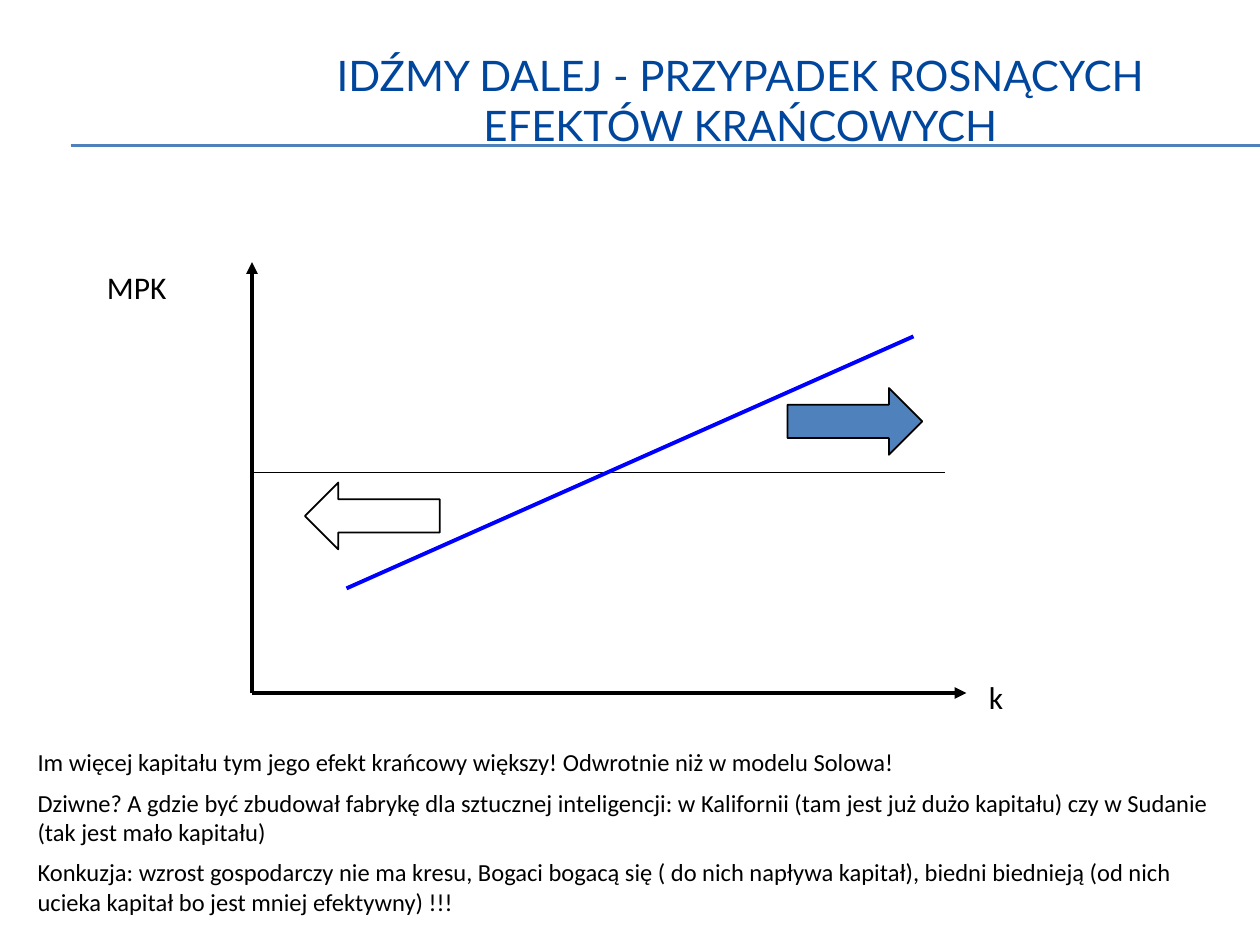
from dataclasses import dataclass

from lxml import etree
from pptx import Presentation
from pptx.dml.color import RGBColor
from pptx.enum.shapes import MSO_CONNECTOR, MSO_SHAPE
from pptx.enum.text import MSO_ANCHOR, PP_ALIGN
from pptx.oxml.ns import qn
from pptx.util import Inches, Pt

STRAIGHT = MSO_CONNECTOR.STRAIGHT
RIGHT_ARROW = MSO_SHAPE.RIGHT_ARROW
LEFT_ARROW = MSO_SHAPE.LEFT_ARROW
TOP, MIDDLE = MSO_ANCHOR.TOP, MSO_ANCHOR.MIDDLE
LEFT, CENTER = PP_ALIGN.LEFT, PP_ALIGN.CENTER


@dataclass(frozen=True)
class Theme:
    title_font: str = "Lato"
    body_font: str = "Calibri"
    title_size: int = 24
    label_size: int = 18
    body_size: int = 14
    title_color: str = "00469C"
    ink: str = "000000"
    paper: str = "FFFFFF"
    accent: str = "4F81BD"
    curve: str = "0000FF"
    hairline: float = 0.75
    thin: float = 1
    thick: float = 2.25


def color(value):
    return RGBColor.from_string(value)


def write(para, text, *, font, size, ink, align=LEFT, before=0):
    para.alignment = align
    para.space_before = Pt(before)
    span = para.add_run()
    span.text = text
    span.font.name = font
    span.font.size = Pt(size)
    span.font.color.rgb = color(ink)


class SlideBuilder:
    def __init__(self, page, theme):
        self.page = page
        self.theme = theme

    def text(self, area, lines, *, anchor=TOP, gap=0, **style):
        box = self.page.shapes.add_textbox(*map(Inches, area))
        frame = box.text_frame
        frame.word_wrap = True
        frame.vertical_anchor = anchor
        for index, line in enumerate(lines):
            para = frame.paragraphs[0] if index == 0 else frame.add_paragraph()
            write(para, line, before=gap if index else 0, **style)

    def title(self, area, line):
        self.text(area, [line], anchor=MIDDLE, align=CENTER, font=self.theme.title_font,
                  size=self.theme.title_size, ink=self.theme.title_color)

    def body(self, area, lines, size):
        self.text(area, lines, gap=size * 0.45, font=self.theme.body_font,
                  size=size, ink=self.theme.ink)

    def line(self, start, end, ink, width, arrow=False):
        connector = self.page.shapes.add_connector(STRAIGHT, *map(Inches, (*start, *end)))
        connector.line.color.rgb = color(ink)
        connector.line.width = Pt(width)
        if arrow:
            outline = connector.line._get_or_add_ln()
            etree.SubElement(outline, qn("a:tailEnd"), type="triangle")
        etree.SubElement(connector._element.spPr, qn("a:effectLst"))

    def block_arrow(self, kind, left, top, fill):
        arrow = self.page.shapes.add_shape(
            kind, Inches(left), Inches(top), Inches(1.07), Inches(0.53))
        arrow.shadow.inherit = False
        arrow.fill.solid()
        arrow.fill.fore_color.rgb = color(fill)
        arrow.line.color.rgb = color(self.theme.ink)
        arrow.line.width = Pt(self.theme.thin)


def main():
    theme = Theme()
    deck = Presentation()
    deck.slide_width, deck.slide_height = Inches(10), Inches(7.5)
    page = deck.slides.add_slide(deck.slide_layouts[6])
    builder = SlideBuilder(page, theme)

    for rule_y in (1.15, 1.16):
        builder.line((0.56, rule_y), (10, rule_y), theme.accent, theme.hairline)
    builder.title((2, 0, 7.75, 1.58), "IDŹMY DALEJ - PRZYPADEK ROSNĄCYCH EFEKTÓW KRAŃCOWYCH")

    origin = (2, 5.5)
    for axis_end in ((2, 2.08), (7.67, 5.5)):
        builder.line(origin, axis_end, theme.ink, theme.thick, arrow=True)
    builder.line((2, 3.75), (7.5, 3.75), theme.ink, theme.thin)
    builder.body((0.75, 2.08, 1.08, 0.5), ["MPK"], theme.label_size)
    builder.body((7.75, 5.33, 1, 0.5), ["k"], theme.label_size)
    builder.line((2.75, 4.67), (7.25, 2.67), theme.curve, theme.thick)
    builder.block_arrow(RIGHT_ARROW, 6.25, 3.08, theme.accent)
    builder.block_arrow(LEFT_ARROW, 2.42, 3.83, theme.paper)

    builder.body((0.2, 5.88, 9.53, 1.51), [
        "Im więcej kapitału tym jego efekt krańcowy większy! Odwrotnie niż w modelu Solowa!",
        "Dziwne? A gdzie być zbudował fabrykę dla sztucznej inteligencji: "
        "w Kalifornii (tam jest już dużo kapitału) czy w Sudanie (tak jest mało kapitału)",
        "Konkuzja: wzrost gospodarczy nie ma kresu, Bogaci bogacą się ( do nich napływa "
        "kapitał), biedni biednieją (od nich ucieka kapitał bo jest mniej efektywny) !!!",
    ], theme.body_size)

    deck.save("out.pptx")


if __name__ == "__main__":
    main()
